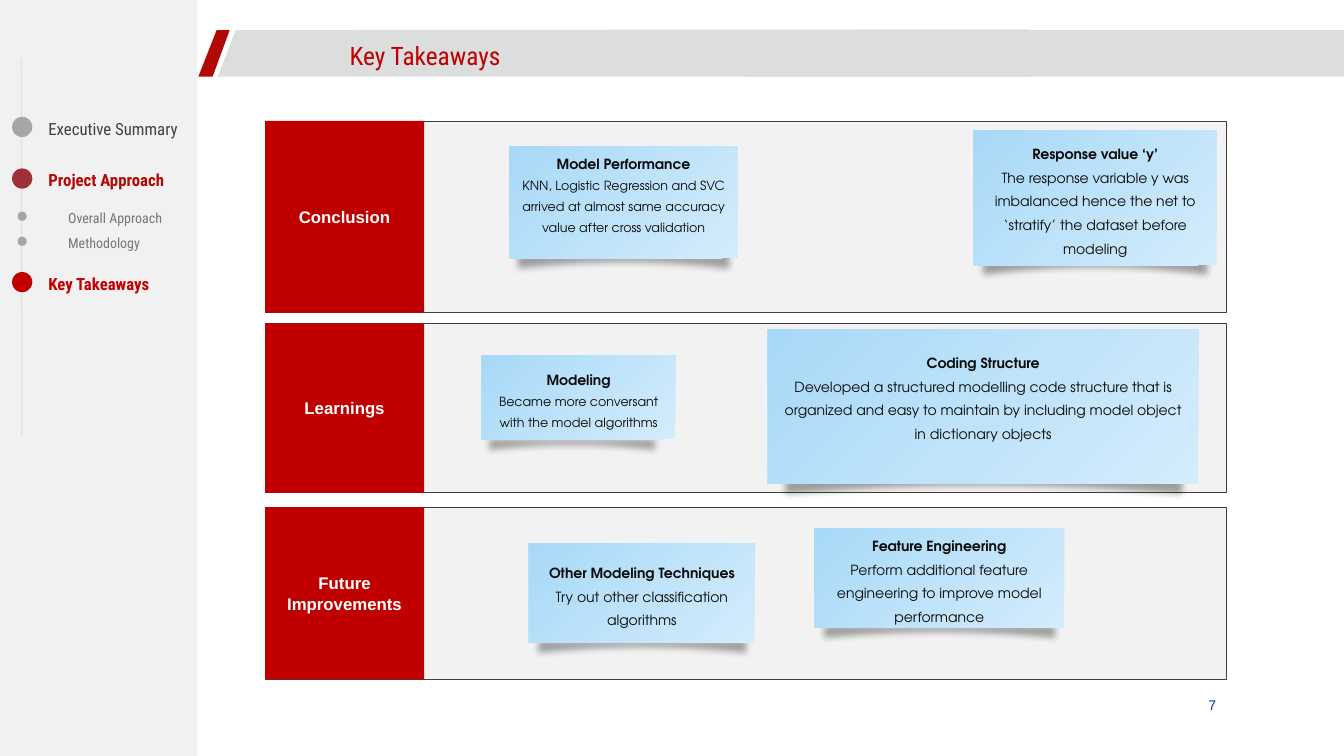
import lxml.etree
import pptx
import pptx.dml.color
import pptx.enum.shapes
import pptx.enum.text
import pptx.oxml.ns
import pptx.util

Cm = pptx.util.Cm
Pt = pptx.util.Pt
qn = pptx.oxml.ns.qn
SHAPE = pptx.enum.shapes.MSO_SHAPE
ANCHOR = pptx.enum.text.MSO_ANCHOR
ALIGN = pptx.enum.text.PP_ALIGN

RED = "C00000"
GREY = "A6A6A6"
SLIDE_W, SLIDE_H = 33.87, 19.05
SIDEBAR_W = 4.98
LABEL_W = 4.01


def rgb(color):
    return pptx.dml.color.RGBColor.from_string(color)


def sub(parent, tag, **attributes):
    return lxml.etree.SubElement(parent, qn(tag), attributes)


def paint(shape, fill, line=None):
    shape.shadow.inherit = False
    shape.fill.solid()
    shape.fill.fore_color.rgb = rgb(fill)
    if line:
        shape.line.color.rgb = rgb(line)
        shape.line.width = Pt(0.5)
    else:
        shape.line.fill.background()
    return shape


def add_preset(shapes, kind, box, fill, line=None):
    return paint(shapes.add_shape(kind, *map(Cm, box)), fill, line)


def add_outline(shapes, points, fill):
    corners = [(Cm(x), Cm(y)) for x, y in points]
    builder = shapes.build_freeform(*corners[0])
    builder.add_line_segments(corners[1:], close=True)
    return paint(builder.convert_to_shape(), fill)


def add_run(paragraph, text, size, font, color, bold=False):
    run = paragraph.add_run()
    run.text = text
    run.font.size = Pt(size)
    run.font.name = font
    run.font.bold = bold
    run.font.color.rgb = rgb(color)


def set_frame(shape, left=0.25, top=0.13, right=0.25, bottom=0.13):
    frame = shape.text_frame
    frame.word_wrap = True
    frame.vertical_anchor = ANCHOR.MIDDLE
    frame.margin_left, frame.margin_top = Cm(left), Cm(top)
    frame.margin_right, frame.margin_bottom = Cm(right), Cm(bottom)
    return frame


def add_label(shapes, box, text, size, font, color, bold=False, left=0.25, top=0.13):
    label = shapes.add_textbox(*map(Cm, box))
    frame = set_frame(label, left=left, top=top, bottom=top)
    add_run(frame.paragraphs[0], text, size, font, color, bold)


def add_header(shapes, title):
    top, bottom = 0.76, 1.93
    add_outline(shapes, [(25.93, bottom), (5.49, bottom), (5.94, top), (25.93, 0.74)], "DCDDDD")
    add_outline(shapes, [(5.46, top), (5.79, top), (5.36, bottom), (5, bottom)], "B30906")
    add_preset(shapes, SHAPE.RECTANGLE, (18.85, top, SLIDE_W - 18.85, bottom - top), "DCDDDD")
    add_label(shapes, (8.81, 0.99, 20.8, 0.81), title, 18.1, "Roboto Condensed", RED, left=0)


def add_sidebar(shapes, entries):
    add_preset(shapes, SHAPE.RECTANGLE, (0, 0, SIDEBAR_W, SLIDE_H), "F1F1F1")

    # Faint vertical timeline
    timeline = shapes.add_connector(pptx.enum.shapes.MSO_CONNECTOR.STRAIGHT,
                                    Cm(0.54), Cm(1.45), Cm(0.55), Cm(10.97))
    timeline.line.color.rgb = rgb(GREY)
    timeline.line.width = Pt(1)
    properties = timeline.element.spPr
    sub(properties.find(".//" + qn("a:srgbClr")), "a:alpha", val="20000")
    sub(properties, "a:effectLst")

    # Sections with large dots, subsections with small ones
    for text, middle, dot_color, color, bold, is_sub in entries:
        dot, left, size = (0.23, 1.47, 10) if is_sub else (0.51, 0.97, 12)
        add_preset(shapes, SHAPE.OVAL, (0.56 - dot / 2, middle - dot / 2, dot, dot), dot_color)
        add_label(shapes, (left, middle - 0.34, SIDEBAR_W - left, 0.76),
                  text, size, "Roboto Condensed", color, bold)


def add_curl(shapes, box, width_share):
    """Arched strip whose shadow shows under the lower edge of a note."""
    left, top, width, height = box
    strip_x, strip_w = left + 0.04 * width, width_share * width
    strip_h = 0.12 * height
    strip_y = top + height - strip_h
    steps = 24
    arch = [(1 - i / steps, 0.54 + 0.46 * (1 - 2 * i / steps) ** 2) for i in range(steps + 1)]
    curl = add_outline(shapes, [(strip_x + u * strip_w, strip_y + v * strip_h)
                                for u, v in [(0, 0), (1, 0)] + arch], "007C92")
    effects = curl.element.spPr.find(qn("a:effectLst"))
    shadow = sub(effects, "a:outerShdw", blurRad=str(Pt(5)), dist=str(Pt(7)),
                 dir="5400000", algn="t", rotWithShape="0")
    sub(sub(shadow, "a:srgbClr", val="000000"), "a:alpha", val="34000")


def add_note(shapes, box, heading, body, body_size, spare=0, curl_share=0.92):
    group = shapes.add_group_shape().shapes
    add_curl(group, box, curl_share)
    note = add_preset(group, SHAPE.RECTANGLE, box, "A8D9F8")

    # Gradient spreading from the upper left corner
    note.fill.gradient()
    for stop, color in zip(note.fill.gradient_stops, ("A8D9F8", "D3ECFB")):
        stop.color.rgb = rgb(color)
    gradient = note.element.spPr.find(qn("a:gradFill"))
    gradient.remove(gradient.find(qn("a:lin")))
    sub(sub(gradient, "a:path", path="circle"), "a:fillToRect", r="100000", b="100000")

    frame = set_frame(note, bottom=0.13 + spare)
    heading_line, body_line = frame.paragraphs[0], frame.add_paragraph()
    add_run(heading_line, heading, 10, "TeX Gyre Adventor", "0C0C0C", True)
    add_run(body_line, body, body_size, "TeX Gyre Adventor", "0C0C0C")
    for paragraph in (heading_line, body_line):
        paragraph.alignment = ALIGN.CENTER
        paragraph.line_spacing = 1.4


def add_row(shapes, box, name, notes):
    left, top, _, height = box
    add_preset(shapes, SHAPE.RECTANGLE, box, "F2F2F2", "404040")
    label = add_preset(shapes, SHAPE.RECTANGLE, (left, top, LABEL_W, height), RED)
    paragraph = set_frame(label, 0, 0, 0, 0).paragraphs[0]
    paragraph.alignment = ALIGN.CENTER
    add_run(paragraph, name, 12, "Arial", "FFFFFF", True)
    for (dx, dy, note_w, note_h), *content in notes:
        add_note(shapes, (left + dx, top + dy, note_w, note_h), *content)


# Text, dot centre, dot colour, text colour, bold, subsection
SECTIONS = [
    ("Executive Summary", 3.2, GREY, "404040", False, False),
    ("Project Approach", 4.5, "9E3039", "B30906", True, False),
    ("Overall Approach", 5.45, GREY, "747678", False, True),
    ("Methodology", 6.08, GREY, "747678", False, True),
    ("Key Takeaways", 7.11, RED, RED, True, False),
]

# Name, top, height, notes placed from the row's corner
ROWS = [
    ("Conclusion", 3.05, 4.83, [
        ((6.15, 0.64, 5.77, 2.82), "Model Performance",
         "KNN, Logistic Regression and SVC arrived at almost same accuracy value "
         "after cross validation", 9, 0.53),
        ((17.86, 0.25, 6.12, 3.38), "Response value ‘y’",
         "The response variable y was imbalanced hence the net to ‘stratify’ "
         "the dataset before modeling", 10)]),
    ("Learnings", 8.15, 4.27, [
        ((5.46, 0.81, 4.88, 2.11), "Modeling",
         "Became more conversant with the model algorithms", 9, 0, 0.85),
        ((12.67, 0.15, 10.85, 3.89), "Coding Structure",
         "Developed a structured modelling code structure that is organized and easy "
         "to maintain by including model object in dictionary objects", 10, 0.59)]),
    ("Future Improvements", 12.78, 4.34, [
        ((6.65, 0.91, 5.69, 2.51), "Other Modeling Techniques",
         "Try out other classification algorithms", 10),
        ((13.84, 0.53, 6.3, 2.51), "Feature Engineering",
         "Perform additional feature engineering to improve model performance", 10)]),
]


def main():
    deck = pptx.Presentation()
    deck.slide_width, deck.slide_height = Cm(SLIDE_W), Cm(SLIDE_H)
    shapes = deck.slides.add_slide(deck.slide_layouts[6]).shapes
    add_sidebar(shapes, SECTIONS)
    add_header(shapes, "Key Takeaways")
    for name, top, height, notes in ROWS:
        add_row(shapes, (6.68, top, 24.23, height), name, notes)
    # Page number
    add_label(shapes, (30.2, 17.55, 0.97, 0.43), "7", 10, "Arial", "00338D", top=0)
    deck.save("out.pptx")


if __name__ == "__main__":
    main()
